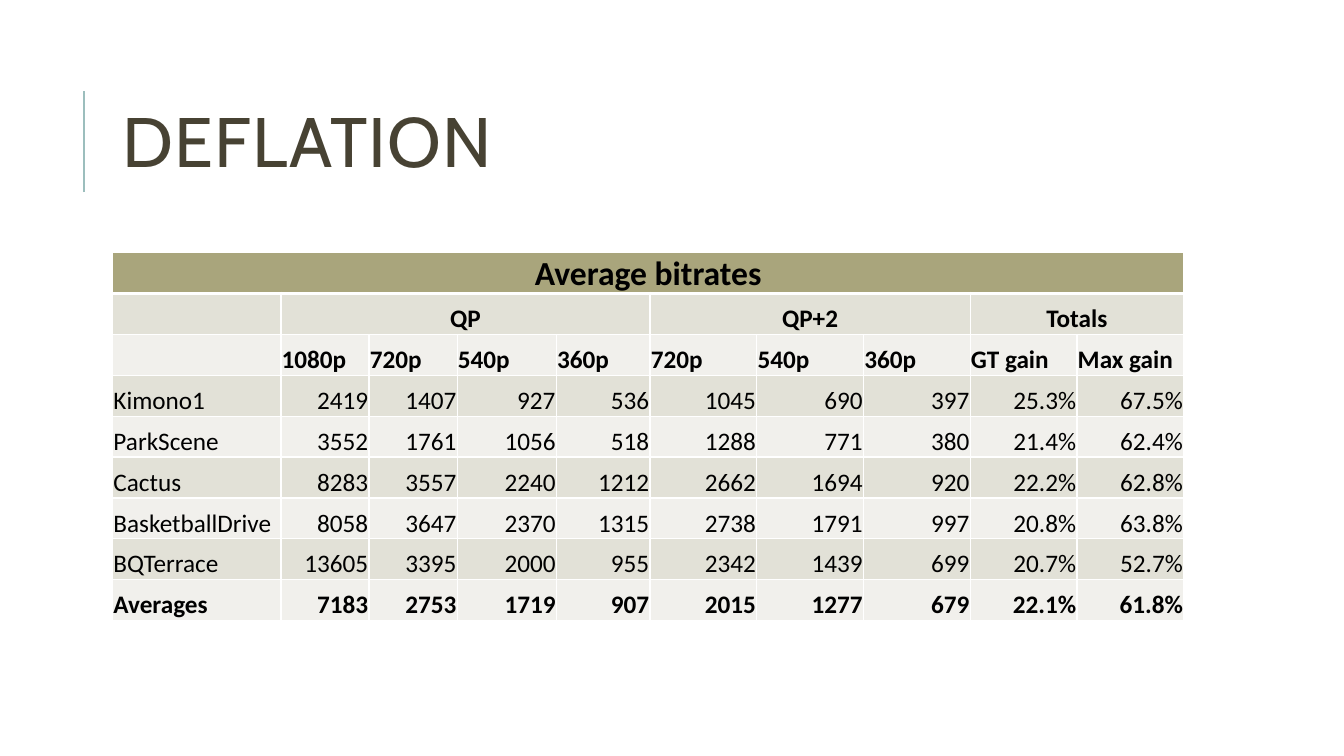
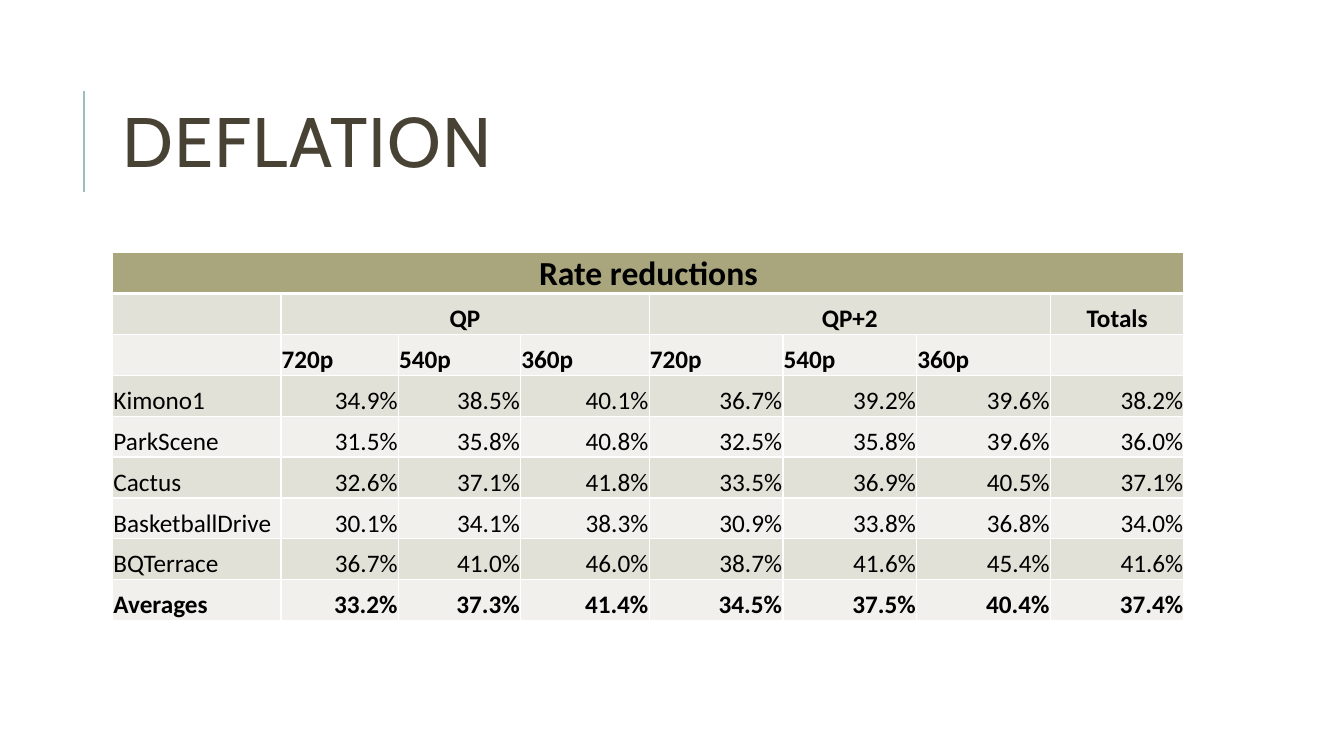
"""Build two slides of bitrate results, each a title above a table."""
from dataclasses import dataclass

from lxml.etree import SubElement
from pptx import Presentation
from pptx.dml.color import RGBColor
from pptx.enum.shapes import MSO_CONNECTOR
from pptx.enum.text import MSO_ANCHOR, PP_ALIGN
from pptx.oxml import parse_xml
from pptx.oxml.ns import nsdecls, qn
from pptx.util import Cm, Pt


@dataclass(frozen=True)
class Theme:
    """Colours, fonts and type sizes of the deck."""
    title: str = "474233"
    accent: str = "9CBEBD"
    banner: str = "A9A57C"
    bands: tuple = ("F1F0EC", "E2E1D7")
    border: str = "FFFFFF"
    text: str = "000000"
    title_font: str = "Cabin"
    body_font: str = "Calibri"
    title_size: int = 50
    banner_size: int = 24
    body_size: int = 18


THEME = Theme()
LEFT, WIDTH = Cm(2.84), Cm(27)
ROW_HEIGHT = Cm(1.03)
SEQUENCES = ["Kimono1", "ParkScene", "Cactus", "BasketballDrive", "BQTerrace", "Averages"]


def write(frame, text, size=THEME.body_size, color=THEME.text, font=THEME.body_font,
          bold=False, align=PP_ALIGN.LEFT, line_spacing=None, tracking=None):
    """Write one formatted paragraph into a text frame."""
    paragraph = frame.paragraphs[0]
    paragraph.alignment = align
    paragraph.line_spacing = line_spacing
    run = paragraph.add_run()
    run.text = text
    run.font.size = Pt(size)
    run.font.name = font
    run.font.bold = bold
    run.font.color.rgb = RGBColor.from_string(color)
    if tracking:
        run.font._element.set("spc", str(tracking * 100))


class Deck:
    """Hold the presentation, its theme and the current slide."""

    def __init__(self, theme):
        """Start an empty widescreen presentation."""
        self.theme = theme
        self.presentation = Presentation()
        self.presentation.slide_width = Cm(33.87)
        self.presentation.slide_height = Cm(19.05)
        self.slide = None

    def add_slide(self, title):
        """Add a blank slide with the accent rule and the title."""
        self.slide = self.presentation.slides.add_slide(self.presentation.slide_layouts[6])
        self.accent_rule()
        self.title(title)

    def accent_rule(self):
        """Draw the thin upright rule beside the title."""
        rule = self.slide.shapes.add_connector(
            MSO_CONNECTOR.STRAIGHT, Cm(2.12), Cm(4.84), Cm(2.12), Cm(2.29))
        rule.line.color.rgb = RGBColor.from_string(self.theme.accent)
        rule.line.width = Pt(1.5)
        SubElement(rule._element.spPr, qn("a:effectLst"))

    def title(self, text):
        """Place the slide title."""
        frame = self.slide.shapes.add_textbox(LEFT, Cm(1.63), WIDTH, Cm(4.17)).text_frame
        frame.word_wrap = True
        frame.vertical_anchor = MSO_ANCHOR.MIDDLE
        write(frame, text, size=self.theme.title_size, color=self.theme.title,
              font=self.theme.title_font, line_spacing=0.8, tracking=1)

    def cell(self, cell, fill, top=1, bottom=1):
        """Give a cell its fill, margins and borders."""
        cell.fill.solid()
        cell.fill.fore_color.rgb = RGBColor.from_string(fill)
        cell.margin_left = cell.margin_right = cell.margin_top = Cm(0.02)
        cell.margin_bottom = 0
        cell.vertical_anchor = MSO_ANCHOR.BOTTOM
        properties = cell._tc.get_or_add_tcPr()
        for place, (side, width) in enumerate(zip("LRTB", (1, 1, top, bottom))):
            properties.insert(place, parse_xml(
                f'<a:ln{side} {nsdecls("a")} w="{Pt(width)}"><a:solidFill>'
                f'<a:srgbClr val="{self.theme.border}"/></a:solidFill></a:ln{side}>'))

    def results(self, banner, groups, headings, values, widths):
        """Add a results table under a banner row and grouped headings."""
        records = [[name, *line.split()] for name, line in zip(SEQUENCES, values)]
        row_count, column_count = len(records) + 3, len(widths)
        table = self.slide.shapes.add_table(
            row_count, column_count, LEFT, Cm(6.36), WIDTH, ROW_HEIGHT * row_count).table
        table.first_row = table.horz_banding = False
        for column, width in zip(table.columns, widths):
            column.width = Cm(width)
        for index, row in enumerate(table.rows):
            row.height = ROW_HEIGHT
            fill = self.theme.bands[index % 2] if index else self.theme.banner
            for cell in row.cells:
                self.cell(cell, fill, top=3 if index == 1 else 1, bottom=1 if index else 3)

        table.cell(0, 0).merge(table.cell(0, column_count - 1))
        write(table.cell(0, 0).text_frame, banner, size=self.theme.banner_size,
              bold=True, align=PP_ALIGN.CENTER)
        start = 1
        for label, span in groups:
            group = table.cell(1, start)
            if span > 1:
                group.merge(table.cell(1, start + span - 1))
            write(group.text_frame, label, bold=True, align=PP_ALIGN.CENTER)
            start += span
        for position, heading in enumerate(headings.split(","), 1):
            write(table.cell(2, position).text_frame, heading, bold=True)
        for index, record in enumerate(records, 3):
            for position, value in enumerate(record):
                write(table.cell(index, position).text_frame, value,
                      bold=index == row_count - 1,
                      align=PP_ALIGN.RIGHT if position else PP_ALIGN.LEFT)


def main():
    """Build and save the deck."""
    deck = Deck(THEME)
    deck.add_slide("DEFLATION")
    deck.results(
        "Average bitrates",
        [("QP", 4), ("QP+2", 3), ("Totals", 2)],
        "1080p,720p,540p,360p,720p,540p,360p,GT gain,Max gain",
        ["2419 1407 927 536 1045 690 397 25.3% 67.5%",
         "3552 1761 1056 518 1288 771 380 21.4% 62.4%",
         "8283 3557 2240 1212 2662 1694 920 22.2% 62.8%",
         "8058 3647 2370 1315 2738 1791 997 20.8% 63.8%",
         "13605 3395 2000 955 2342 1439 699 20.7% 52.7%",
         "7183 2753 1719 907 2015 1277 679 22.1% 61.8%"],
        [4.24, 2.22, 2.22, 2.5, 2.36] + [2.69] * 5)
    deck.add_slide("DEFLATION")
    deck.results(
        "Rate reductions",
        [("QP", 3), ("QP+2", 3), ("Totals", 1)],
        "720p,540p,360p,720p,540p,360p",
        ["34.9% 38.5% 40.1% 36.7% 39.2% 39.6% 38.2%",
         "31.5% 35.8% 40.8% 32.5% 35.8% 39.6% 36.0%",
         "32.6% 37.1% 41.8% 33.5% 36.9% 40.5% 37.1%",
         "30.1% 34.1% 38.3% 30.9% 33.8% 36.8% 34.0%",
         "36.7% 41.0% 46.0% 38.7% 41.6% 45.4% 41.6%",
         "33.2% 37.3% 41.4% 34.5% 37.5% 40.4% 37.4%"],
        [4.24, 2.96, 3.08, 3.24] + [3.37] * 4)
    deck.presentation.save("out.pptx")


if __name__ == "__main__":
    main()
